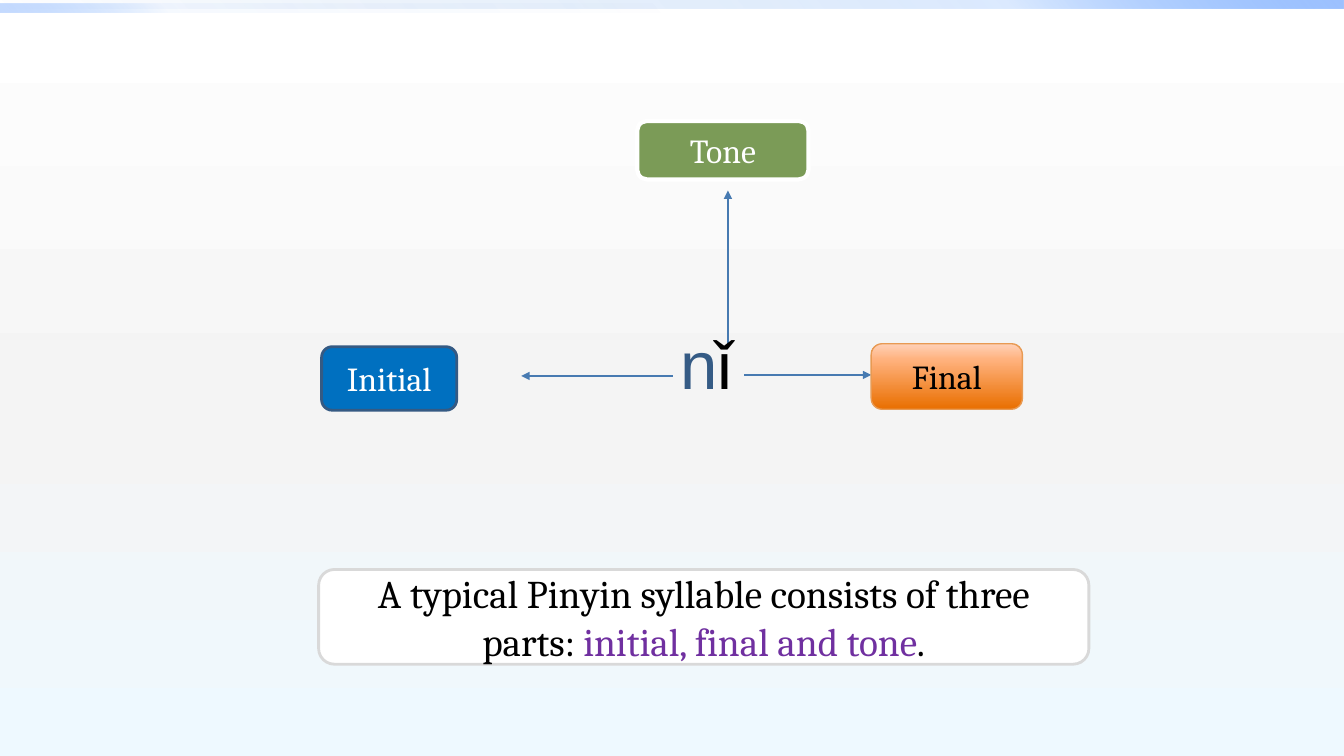
"""Build a slide that splits a Pinyin syllable into initial, final and tone."""
from dataclasses import dataclass

import pptx
import pptx.dml.color
import pptx.enum.shapes
import pptx.enum.text
import pptx.oxml
import pptx.oxml.ns
import pptx.util
from lxml import etree

RGBColor = pptx.dml.color.RGBColor
Shape = pptx.enum.shapes.MSO_SHAPE
Align = pptx.enum.text.PP_ALIGN

WIDTH = pptx.util.Inches(13.33)
HEIGHT = pptx.util.Inches(7.5)

WHITE = RGBColor(0xFF, 0xFF, 0xFF)
BLACK = RGBColor(0, 0, 0)
PALE_GREY = RGBColor(0xF4, 0xF4, 0xF4)
MID_GREY = RGBColor(0xD9, 0xD9, 0xD9)
ICE = RGBColor(0xEE, 0xF9, 0xFF)
DEEP_BLUE = RGBColor(0x00, 0x58, 0xB7)
BRIGHT_BLUE = RGBColor(0x4F, 0x95, 0xFF)
SOFT_BLUE = RGBColor(0x9E, 0xC2, 0xFF)
ARROW_BLUE = RGBColor(0x47, 0x7A, 0xB1)
INITIAL_BLUE = RGBColor(0x00, 0x70, 0xC0)
INITIAL_EDGE = RGBColor(0x35, 0x5A, 0x83)
LETTER_BLUE = RGBColor(0x35, 0x5B, 0x85)
DARK_ORANGE = RGBColor(0xE9, 0x6F, 0x00)
ORANGE = RGBColor(0xFF, 0xB1, 0x7C)
PEACH = RGBColor(0xFF, 0xD1, 0xB8)
FINAL_EDGE = RGBColor(0xE8, 0x9A, 0x53)
GREEN = RGBColor(0x7B, 0x9B, 0x57)
PURPLE = RGBColor(0x70, 0x30, 0xA0)


@dataclass(frozen=True)
class Area:
    """A rectangle in percent of the slide's width and height."""
    left: float
    top: float
    width: float
    height: float

    def lengths(self) -> tuple[int, int, int, int]:
        """Return left, top, width and height as lengths."""
        return across(self.left), down(self.top), across(self.width), down(self.height)


@dataclass(frozen=True)
class Stop:
    """A gradient stop; position and opacity are in percent."""
    position: int
    color: RGBColor
    opacity: int = 100


@dataclass(frozen=True)
class Gradient:
    """A linear gradient with a clockwise angle."""
    angle: int
    stops: tuple[Stop, ...]


@dataclass(frozen=True)
class Span:
    """A stretch of text in one colour."""
    text: str
    color: RGBColor


@dataclass(frozen=True)
class Label:
    """A rounded box with centred text."""
    area: Area
    fill: RGBColor | Gradient
    edge: RGBColor
    edge_width: int
    size: int
    spans: tuple[Span, ...]


@dataclass(frozen=True)
class Strip:
    """A decorative band at the top of the slide."""
    area: Area
    fill: Gradient


@dataclass(frozen=True)
class Arrow:
    """An arrow between two points, in percent of the slide."""
    start: tuple[float, float]
    end: tuple[float, float]


BACKDROP = Gradient(90, (Stop(0, WHITE), Stop(55, PALE_GREY), Stop(100, ICE)))
STRIPS = (
    Strip(Area(0, 0, 100, 1.07), Gradient(315, (
        Stop(0, DEEP_BLUE, 0), Stop(75, BRIGHT_BLUE, 20), Stop(100, SOFT_BLUE)))),
    Strip(Area(0, 0.53, 50, 1.07), Gradient(135, (
        Stop(0, DEEP_BLUE, 0), Stop(75, BRIGHT_BLUE, 5), Stop(100, SOFT_BLUE, 60)))),
)
ARROWS = (
    Arrow((50.04, 49.73), (38.78, 49.73)),
    Arrow((55.36, 49.6), (64.82, 49.6)),
    Arrow((54.16, 45.47), (54.16, 25.2)),
)
LABELS = (
    Label(Area(23.93, 45.87, 10.05, 8.4), INITIAL_BLUE, INITIAL_EDGE, 2, 24,
          (Span("Initial", WHITE),)),
    Label(Area(64.82, 45.47, 11.25, 8.67),
          Gradient(270, (Stop(0, DARK_ORANGE), Stop(75, ORANGE), Stop(100, PEACH))),
          FINAL_EDGE, 1, 24, (Span("Final", BLACK),)),
    Label(Area(47.41, 16, 12.75, 7.73), GREEN, WHITE, 3, 24, (Span("Tone", WHITE),)),
    Label(Area(23.71, 75.33, 57.31, 12.53), WHITE, MID_GREY, 2, 28,
          (Span("A typical Pinyin syllable consists of three parts: ", BLACK),
           Span("initial, final and tone", PURPLE), Span(".", BLACK))),
)
SYLLABLE_AREA = Area(49.89, 42, 9.3, 12.13)
SYLLABLE = (Span("n", LETTER_BLUE), Span("ǐ", BLACK))


def across(percent: float) -> int:
    """Turn a share of the slide's width into a length."""
    return round(WIDTH * percent / 100)


def down(percent: float) -> int:
    """Turn a share of the slide's height into a length."""
    return round(HEIGHT * percent / 100)


def add_child(parent, tag: str, **attributes: str):
    """Append an element with the given prefixed tag."""
    return etree.SubElement(parent, pptx.oxml.ns.qn(tag), attributes)


def paint(owner, fill, paint_with: RGBColor | Gradient) -> None:
    """Give a fill one colour or a gradient."""
    if isinstance(paint_with, RGBColor):
        fill.solid()
        fill.fore_color.rgb = paint_with
        return
    fill.gradient()
    fill.gradient_angle = 360 - paint_with.angle
    stop_list = owner.element.find(".//" + pptx.oxml.ns.qn("a:gsLst"))
    for old_stop in list(stop_list):
        stop_list.remove(old_stop)
    for stop in paint_with.stops:
        mark = add_child(stop_list, "a:gs", pos=str(stop.position * 1000))
        color = add_child(mark, "a:srgbClr", val=str(stop.color))
        if stop.opacity < 100:
            add_child(color, "a:alpha", val=str(stop.opacity * 1000))


def write(frame, spans: tuple[Span, ...], font: str, size: int, align) -> None:
    """Write coloured spans into the first paragraph of a frame."""
    para = frame.paragraphs[0]
    para.alignment = align
    para.font.name = font
    para.font.size = pptx.util.Pt(size)
    for span in spans:
        run = para.add_run()
        run.text = span.text
        run.font.color.rgb = span.color


def draw_strip(page, strip: Strip) -> None:
    """Draw a band without an outline."""
    band = page.shapes.add_shape(Shape.RECTANGLE, *strip.area.lengths())
    band.shadow.inherit = False
    paint(band, band.fill, strip.fill)
    band.line.fill.background()


def draw_arrow(page, arrow: Arrow) -> None:
    """Draw a thin arrow with a triangular head."""
    line = page.shapes.add_connector(
        pptx.enum.shapes.MSO_CONNECTOR.STRAIGHT,
        across(arrow.start[0]), down(arrow.start[1]),
        across(arrow.end[0]), down(arrow.end[1]))
    line.line.color.rgb = ARROW_BLUE
    line.line.width = pptx.util.Pt(1)
    add_child(line.line._get_or_add_ln(), "a:tailEnd", type="triangle")
    add_child(line.element.spPr, "a:effectLst")


def draw_label(page, label: Label) -> None:
    """Draw a rounded box and its text."""
    box = page.shapes.add_shape(Shape.ROUNDED_RECTANGLE, *label.area.lengths())
    box.shadow.inherit = False
    paint(box, box.fill, label.fill)
    box.line.color.rgb = label.edge
    box.line.width = pptx.util.Pt(label.edge_width)
    box.text_frame.word_wrap = True
    box.text_frame.vertical_anchor = pptx.enum.text.MSO_ANCHOR.MIDDLE
    write(box.text_frame, label.spans, "Cambria", label.size, Align.CENTER)


def main() -> None:
    """Build and save the deck."""
    deck = pptx.Presentation()
    deck.slide_width, deck.slide_height = WIDTH, HEIGHT
    page = deck.slides.add_slide(deck.slide_layouts[6])
    paint(page, page.background.fill, BACKDROP)
    for strip in STRIPS:
        draw_strip(page, strip)
    for arrow in ARROWS:
        draw_arrow(page, arrow)
    for label in LABELS:
        draw_label(page, label)
    syllable = page.shapes.add_textbox(*SYLLABLE_AREA.lengths())
    syllable.text_frame.word_wrap = True
    write(syllable.text_frame, SYLLABLE, "Arial", 48, Align.LEFT)
    deck.save("out.pptx")


if __name__ == "__main__":
    main()
